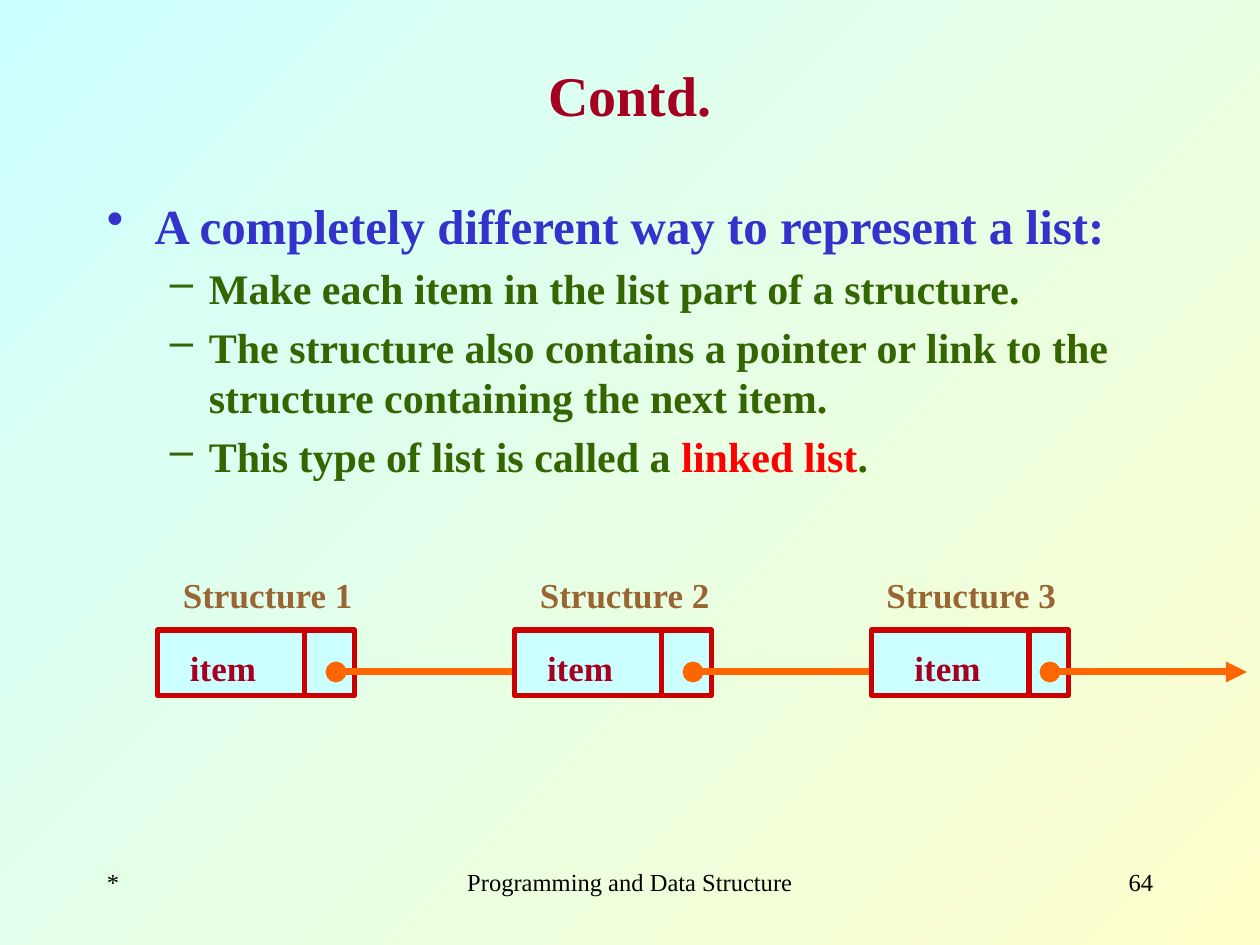
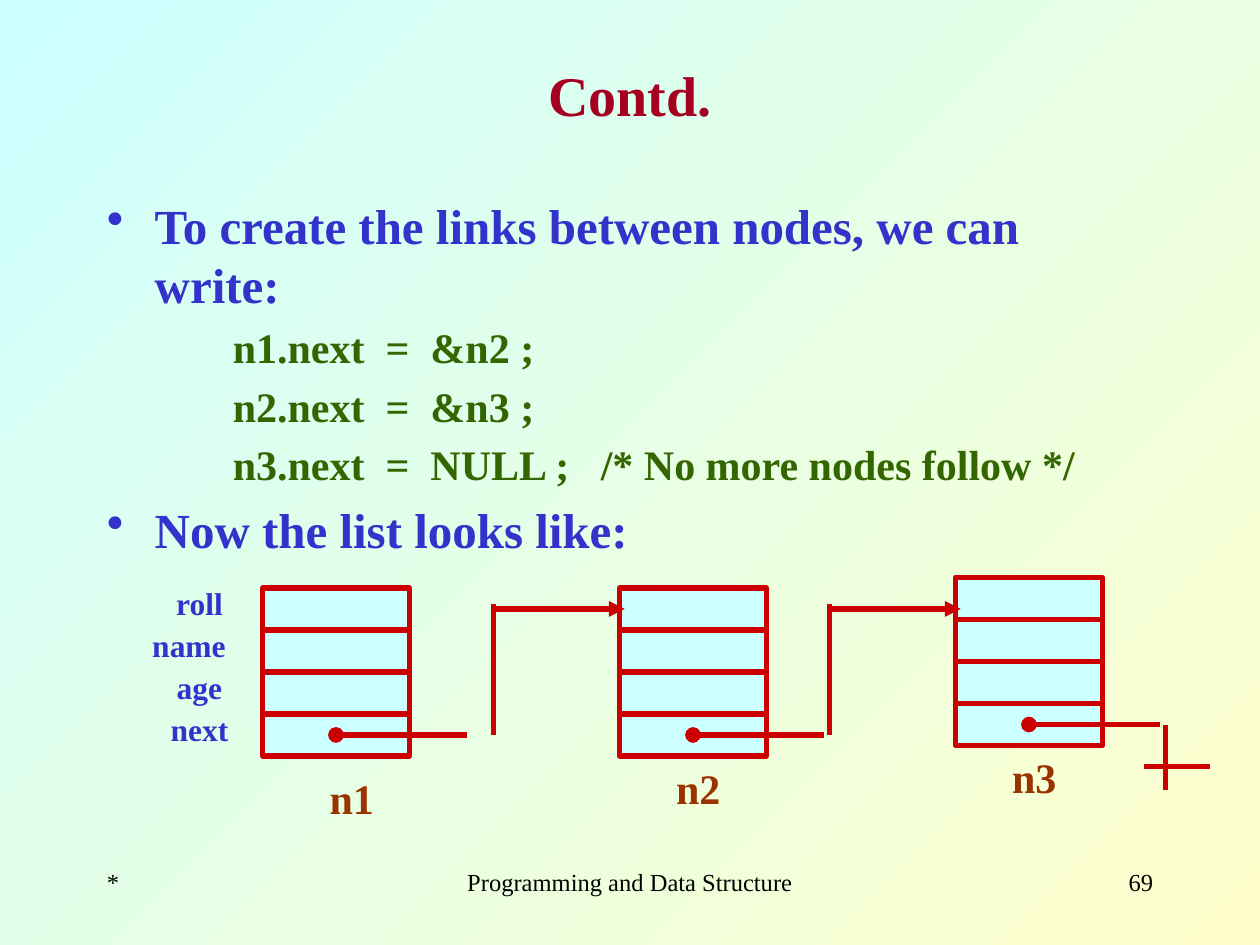
import lxml.etree
import pptx
import pptx.dml.color
import pptx.enum.shapes
import pptx.enum.text
import pptx.oxml.ns
import pptx.util


class Theme:
    face = "Times New Roman"
    sky, sand = "CCFFFF", "FFFFCC"
    title, head, code, hot = "A50021", "3333CC", "336600", "FF0000"
    edge, link, label, node, foot = "CC0000", "FF6600", "996633", "993300", "000000"
    huge, big, mid, item, field, small = 32, 28, 24, 20, 18, 14
    thin, thick = 3, 4


COLS, ROWS = 120, 90
ALIGN = pptx.enum.text.PP_ALIGN
RGB = pptx.dml.color.RGBColor.from_string
QN = pptx.oxml.ns.qn

deck = pptx.Presentation()
deck.slide_width = pptx.util.Inches(10)
deck.slide_height = pptx.util.Inches(7.5)
col = deck.slide_width / COLS
row = deck.slide_height / ROWS

back = deck.slide_master.background.fill
back.gradient()
back.gradient_angle = 315
for stop, tint in zip(back.gradient_stops, (Theme.sky, Theme.sand)):
    stop.color.rgb = RGB(tint)


def write(text, slide=None, spot=None, box=None, size=Theme.item, color=Theme.foot,
          bold=True, align=ALIGN.CENTER, middle=False, fill=None, hot=None,
          bullet=None, left=0, hang=0):
    first = box is None
    if first:
        x, y, w, h = spot
        area = [int(n) for n in (x * col, y * row, w * col, h * row)]
        if fill:
            box = slide.shapes.add_shape(pptx.enum.shapes.MSO_SHAPE.RECTANGLE, *area)
            box.shadow.inherit = False
            box.fill.solid()
            box.fill.fore_color.rgb = RGB(fill)
            box.line.color.rgb = RGB(Theme.edge)
            box.line.width = pptx.util.Pt(Theme.thin)
        else:
            box = slide.shapes.add_textbox(*area)
        box.text_frame.word_wrap = True
        if middle:
            box.text_frame.vertical_anchor = pptx.enum.text.MSO_ANCHOR.MIDDLE
    frame = box.text_frame
    para = frame.paragraphs[0] if first else frame.add_paragraph()
    para.alignment = align
    if not first:
        para.space_before = pptx.util.Pt(size * 0.2)
    if left:
        props = para._p.get_or_add_pPr()
        props.set("marL", str(pptx.util.Inches(left)))
        props.set("indent", str(pptx.util.Inches(-hang)))
        if bullet:
            tint = lxml.etree.SubElement(props, QN("a:buClr"))
            lxml.etree.SubElement(tint, QN("a:srgbClr"), val=color)
            lxml.etree.SubElement(props, QN("a:buChar"), char=bullet)
    for part in text.partition(hot) if hot else (text,):
        if part:
            run = para.add_run()
            run.text = part
            run.font.name = Theme.face
            run.font.size = pptx.util.Pt(size)
            run.font.bold = bold
            run.font.color.rgb = RGB(Theme.hot if part == hot else color)
    return box


def join(slide, x, y, across=0, down=0, color=Theme.edge, width=Theme.thin,
         dot=False, arrow=False):
    ends = [int(n) for n in (x * col, y * row, (x + across) * col, (y + down) * row)]
    wire = slide.shapes.add_connector(pptx.enum.shapes.MSO_CONNECTOR.STRAIGHT, *ends)
    wire.line.color.rgb = RGB(color)
    wire.line.width = pptx.util.Pt(width)
    line = wire.line._get_or_add_ln()
    if dot:
        lxml.etree.SubElement(line, QN("a:headEnd"), type="oval")
    if arrow:
        lxml.etree.SubElement(line, QN("a:tailEnd"), type="triangle")
    lxml.etree.SubElement(wire._element.spPr, QN("a:effectLst"))


top = dict(size=Theme.big, color=Theme.head, bullet="•", left=0.38, hang=0.38)
code = dict(size=Theme.mid, color=Theme.code, left=0.81, hang=0.31)
sub = dict(code, bullet="–")

pages = [
    ("64", [
        ("A completely different way to represent a list:", top),
        ("Make each item in the list part of a structure.", sub),
        ("The structure also contains a pointer or link to the structure "
         "containing the next item.", sub),
        ("This type of list is called a linked list.", dict(sub, hot="linked list")),
    ]),
    ("69", [
        ("To create the links between nodes, we can write:", top),
        ("      n1.next  =  &n2 ;", code),
        ("      n2.next  =  &n3 ;", code),
        ("      n3.next  =  NULL ;   /* No more nodes follow */", code),
        ("Now the list looks like:", top),
    ]),
]

slides = []
for number, lines in pages:
    slide = deck.slides.add_slide(deck.slide_layouts[6])
    slides.append(slide)
    feet = [("*", 9, 25, ALIGN.LEFT),
            ("Programming and Data Structure", 41, 38, ALIGN.CENTER),
            (number, 86, 25, ALIGN.RIGHT)]
    for text, x, w, align in feet:
        write(text, slide, (x, 82, w, 6), size=Theme.small, bold=False, align=align)
    write("Contd.", slide, (9, 4, 102, 10), size=Theme.huge, color=Theme.title, middle=True)
    body = None
    for text, style in lines:
        body = write(text, slide, (9, 18, 102, 62), box=body, align=ALIGN.LEFT, **style)

chain, nodes = slides

for i, (label, item, split) in enumerate([(13, 15, 29), (47, 49, 63), (80, 84, 98)]):
    x = 15 + 34 * i
    write("", chain, (x, 60, 18.75, 6.25), fill=Theme.sky)
    join(chain, x + 17, 64, across=18.75, color=Theme.link, width=Theme.thick,
         dot=True, arrow=True)
    write(f"Structure {i + 1}", chain, (label, 54, 25, 6.25), color=Theme.label)
    write("item", chain, (item, 61, 12.5, 6.25), color=Theme.title)
    join(chain, split, 60, down=6.25)

stacks = [(25, 56, 26, 73), (59, 56, 59, 72), (91, 55, 91, 71)]
for i, (x, y, left, base) in enumerate(stacks):
    for k in range(4):
        write("", nodes, (x, y + 4 * k, 14, 4), fill=Theme.sky)
    join(nodes, x + 7, y + 14, across=12.5, dot=True)
    write(f"n{i + 1}", nodes, (left, base, 15, 6), size=Theme.mid, color=Theme.node)

for x in (47, 79):
    join(nodes, x, 57.5, down=12.5)
    join(nodes, x, 58, across=12.5, arrow=True)
join(nodes, 111, 69, down=6.25)
join(nodes, 109, 73, across=6.25)

for k, (field, x) in enumerate([("roll", 10), ("name", 9), ("age", 10), ("next", 10)]):
    write(field, nodes, (x, 55 + 4 * k, 18, 4.8), size=Theme.field, color=Theme.head)

deck.save("out.pptx")
